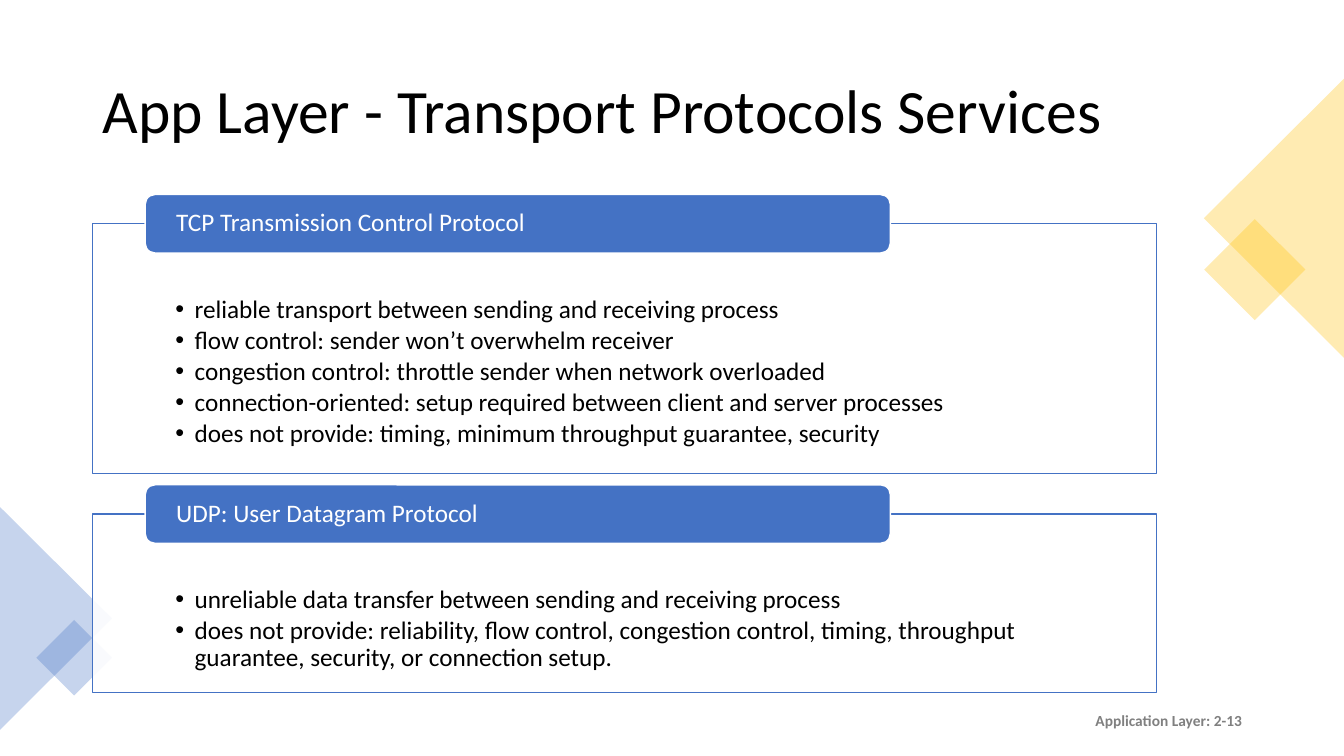
import pptx
import pptx.util
import pptx.dml.color
import pptx.enum.shapes
import pptx.enum.text
import pptx.oxml.ns
import lxml.etree

Inches, Pt = pptx.util.Inches, pptx.util.Pt
SHAPE = pptx.enum.shapes.MSO_SHAPE
ANCHOR = pptx.enum.text.MSO_ANCHOR
ALIGN = pptx.enum.text.PP_ALIGN
qn = pptx.oxml.ns.qn

# Content
TITLE = "App Layer - Transport Protocols Services"
FOOTER = "Application Layer: 2-13"
PROTOCOLS = [
    ("TCP Transmission Control Protocol", 2.48, [
        "reliable transport between sending and receiving process",
        "flow control: sender won’t overwhelm receiver",
        "congestion control: throttle sender when network overloaded",
        "connection-oriented: setup required between client and server processes",
        "does not provide: timing, minimum throughput guarantee, security",
    ]),
    ("UDP: User Datagram Protocol", 1.77, [
        "unreliable data transfer between sending and receiving process",
        "does not provide: reliability, flow control, congestion control, timing, "
        "throughput guarantee, security, or connection setup.",
    ]),
]
COLORS = {"blue": "4472C4", "gold": "FFC000", "white": "FFFFFF",
          "black": "000000", "gray": "808080"}
FONT = "Calibri"

# Corner decoration: preset, left, top, width, height, rotation, colour
DECORATION = [
    (SHAPE.RECTANGLE, 12.09, 2.32, 0.71, 0.71, 45, "gold"),
    (SHAPE.ISOSCELES_TRIANGLE, 11.25, 1.47, 2.77, 1.39, 270, "gold"),
    (SHAPE.ISOSCELES_TRIANGLE, -0.55, 5.58, 2.21, 1.11, 90, "blue"),
    (SHAPE.RECTANGLE, 0.47, 6.26, 0.53, 0.53, 45, "blue"),
]

# Layout
PANEL_LEFT, PANEL_WIDTH, FIRST_PANEL_TOP, PANEL_GAP = 0.92, 10.55, 2.22, 0.4
TAB_LEFT, TAB_WIDTH, TAB_HEIGHT = 1.44, 7.39, 0.58
BULLET_INDENT = 0.19


def rgb(color):
    return pptx.dml.color.RGBColor.from_string(COLORS[color])


def add_block(slide, preset, box, fill, opacity=100, line=None):
    block = slide.shapes.add_shape(preset, *map(Inches, box))
    block.shadow.inherit = False
    block.fill.solid()
    block.fill.fore_color.rgb = rgb(fill)
    if opacity < 100:
        tint = block.fill._xPr.find(qn("a:solidFill"))[0]
        lxml.etree.SubElement(tint, qn("a:alpha"), val=str(opacity * 1000))
    if line:
        block.line.color.rgb = rgb(line)
        block.line.width = Pt(1)
    else:
        block.line.fill.background()
    return block


def write(holder, lines, size, color, anchor=ANCHOR.MIDDLE, align=ALIGN.LEFT,
          insets=(0.1, 0.05, 0.1, 0.05), spacing=0.9, after=0, bold=False,
          bulleted=False):
    frame = holder.text_frame
    frame.word_wrap = True
    frame.vertical_anchor = anchor
    (frame.margin_left, frame.margin_top,
     frame.margin_right, frame.margin_bottom) = map(Inches, insets)
    frame.text = "\n".join(lines)
    for paragraph in frame.paragraphs:
        paragraph.alignment = align
        paragraph.line_spacing = spacing
        paragraph.space_after = Pt(after)
        if bulleted:
            props = paragraph._p.get_or_add_pPr()
            props.set("marL", str(Inches(BULLET_INDENT)))
            props.set("indent", str(-Inches(BULLET_INDENT)))
            lxml.etree.SubElement(props, qn("a:buFont"), typeface="Arial")
            lxml.etree.SubElement(props, qn("a:buChar"), char="•")
        for run in paragraph.runs:
            run.font.name = FONT
            run.font.size = Pt(size)
            run.font.bold = bold
            run.font.color.rgb = rgb(color)


def add_label(slide, box, text, size, color, **style):
    label = slide.shapes.add_textbox(*map(Inches, box))
    write(label, [text], size, color, **style)


def main():
    deck = pptx.Presentation()
    deck.slide_width, deck.slide_height = Inches(13.33), Inches(7.5)
    slide = deck.slides.add_slide(deck.slide_layouts[6])

    # Corner decoration
    for preset, left, top, width, height, rotation, color in DECORATION:
        corner = add_block(slide, preset, (left, top, width, height), color, opacity=30)
        corner.rotation = rotation

    add_label(slide, (0.92, 0.4, 11.5, 1.45), TITLE, 44, "black")

    # One outlined panel per protocol, with its name on a tab over the top edge
    top = FIRST_PANEL_TOP
    for name, height, services in PROTOCOLS:
        panel = add_block(slide, SHAPE.RECTANGLE, (PANEL_LEFT, top, PANEL_WIDTH, height),
                          "white", opacity=90, line="blue")
        write(panel, services, 18, "black", anchor=ANCHOR.TOP,
              insets=(0.82, 0.72, 0.82, 0.14), after=2.7, bulleted=True)
        tab = add_block(slide, SHAPE.ROUNDED_RECTANGLE,
                        (TAB_LEFT, top - TAB_HEIGHT / 2, TAB_WIDTH, TAB_HEIGHT),
                        "blue", line="white")
        write(tab, [name], 18, "white", insets=(0.28, 0, 0.28, 0))
        top += height + PANEL_GAP

    # Footer
    add_label(slide, (9.42, 6.95, 3, 0.4), FOOTER, 11, "gray",
              align=ALIGN.RIGHT, spacing=1.0, bold=True)

    deck.save("out.pptx")


if __name__ == "__main__":
    main()
